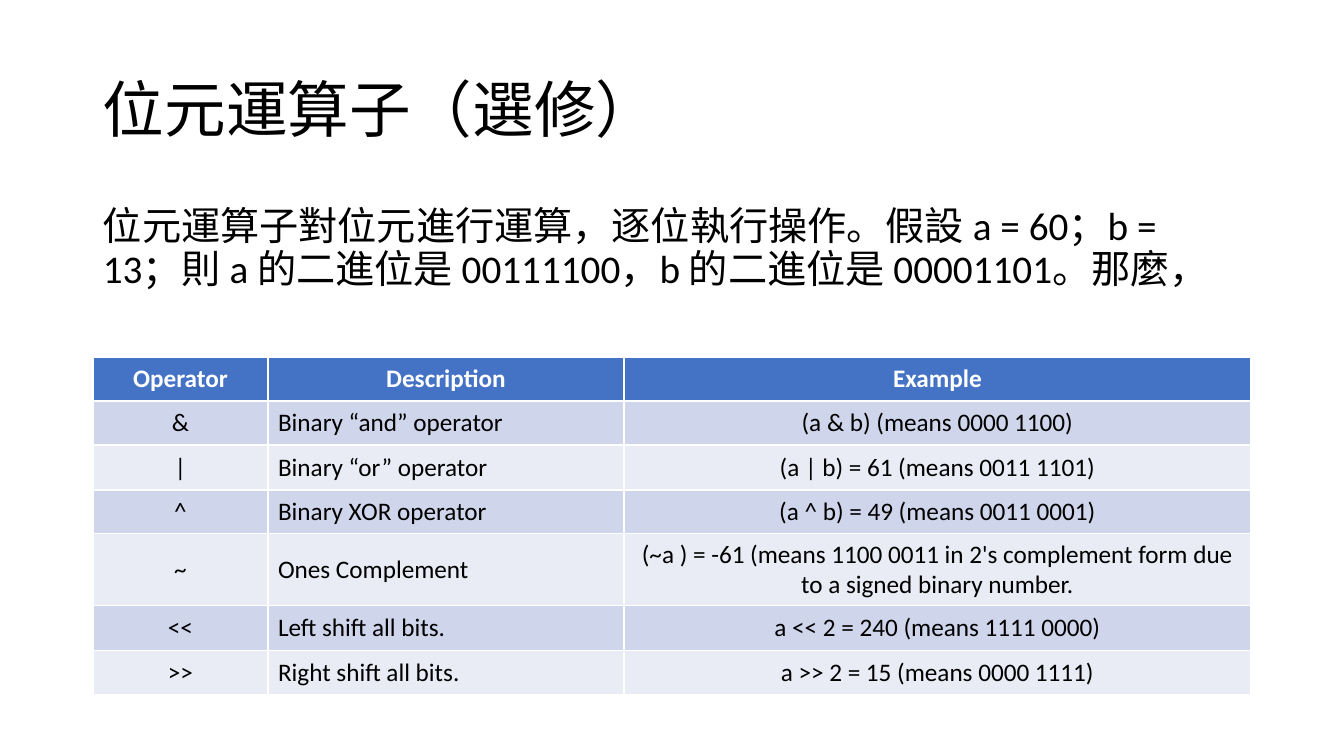
from pptx import Presentation
from pptx.dml.color import RGBColor
from pptx.enum.text import MSO_ANCHOR, PP_ALIGN
from pptx.util import Pt

LEFT, CENTER = PP_ALIGN.LEFT, PP_ALIGN.CENTER
TOP, MIDDLE = MSO_ANCHOR.TOP, MSO_ANCHOR.MIDDLE
SCALE = 914400 / 100.8
FONT = "Calibri"
COLORS = {
    "text": "000000",
    "head": "4472C4",
    "label": "FFFFFF",
    "odd": "CFD5EA",
    "even": "E9EBF5",
}

TITLE = "位元運算子（選修）"
INTRO = (
    "位元運算子對位元進行運算，逐位執行操作。假設 a = 60；b = 13；"
    "則 a 的二進位是 00111100，b 的二進位是 00001101。那麼，"
)
ROWS = [
    ("Operator", "Description", "Example"),
    ("&", "Binary “and” operator", "(a & b) (means 0000 1100)"),
    ("|", "Binary “or” operator", "(a | b) = 61 (means 0011 1101)"),
    ("^", "Binary XOR operator", "(a ^ b) = 49 (means 0011 0001)"),
    ("~", "Ones Complement",
     "(~a ) = -61 (means 1100 0011 in 2's complement form "
     "due to a signed binary number."),
    ("<<", "Left shift all bits.", "a << 2 = 240 (means 1111 0000)"),
    (">>", "Right shift all bits.", "a >> 2 = 15 (means 0000 1111)"),
]
WIDTHS = [175, 356, 627]
HEIGHTS = [44, 44, 45, 44, 72, 45, 44]


def px(n):
    return round(n * SCALE)


def color(name):
    return RGBColor.from_string(COLORS[name])


def write(frame, text, size=18, ink="text", bold=False, align=LEFT,
          line=None, before=0):
    frame.word_wrap = True
    para = frame.paragraphs[0]
    para.alignment = align
    para.space_before = Pt(before)
    if line:
        para.line_spacing = line
    run = para.add_run()
    run.text = text
    run.font.name = FONT
    run.font.size = Pt(size)
    run.font.bold = bold
    run.font.color.rgb = color(ink)


def add_text(slide, box, text, anchor=TOP, **style):
    frame = slide.shapes.add_textbox(*map(px, box)).text_frame
    frame.vertical_anchor = anchor
    write(frame, text, line=0.9, **style)


def add_grid(slide, left, top):
    # The default table style supplies the white cell borders
    table = slide.shapes.add_table(
        len(ROWS), len(WIDTHS), px(left), px(top),
        px(sum(WIDTHS)), px(sum(HEIGHTS))).table
    for col, width in zip(table.columns, WIDTHS):
        col.width = px(width)
    for row, height in zip(table.rows, HEIGHTS):
        row.height = px(height)

    # Header row, then banded rows with left-aligned descriptions
    for r, texts in enumerate(ROWS):
        head = r == 0
        fill = "head" if head else "odd" if r % 2 else "even"
        for c, text in enumerate(texts):
            cell = table.cell(r, c)
            cell.fill.solid()
            cell.fill.fore_color.rgb = color(fill)
            cell.vertical_anchor = MIDDLE
            write(cell.text_frame, text, bold=head,
                  ink="label" if head else "text",
                  align=LEFT if c == 1 and not head else CENTER)


def main():
    deck = Presentation()
    deck.slide_width, deck.slide_height = px(1344), px(756)
    slide = deck.slides.add_slide(deck.slide_layouts[6])
    add_text(slide, (93, 40, 1159, 146), TITLE, anchor=MIDDLE, size=44)
    add_text(slide, (93, 202, 1159, 480), INTRO, size=28, before=10)
    add_grid(slide, 93, 357)
    deck.save("out.pptx")


if __name__ == "__main__":
    main()
